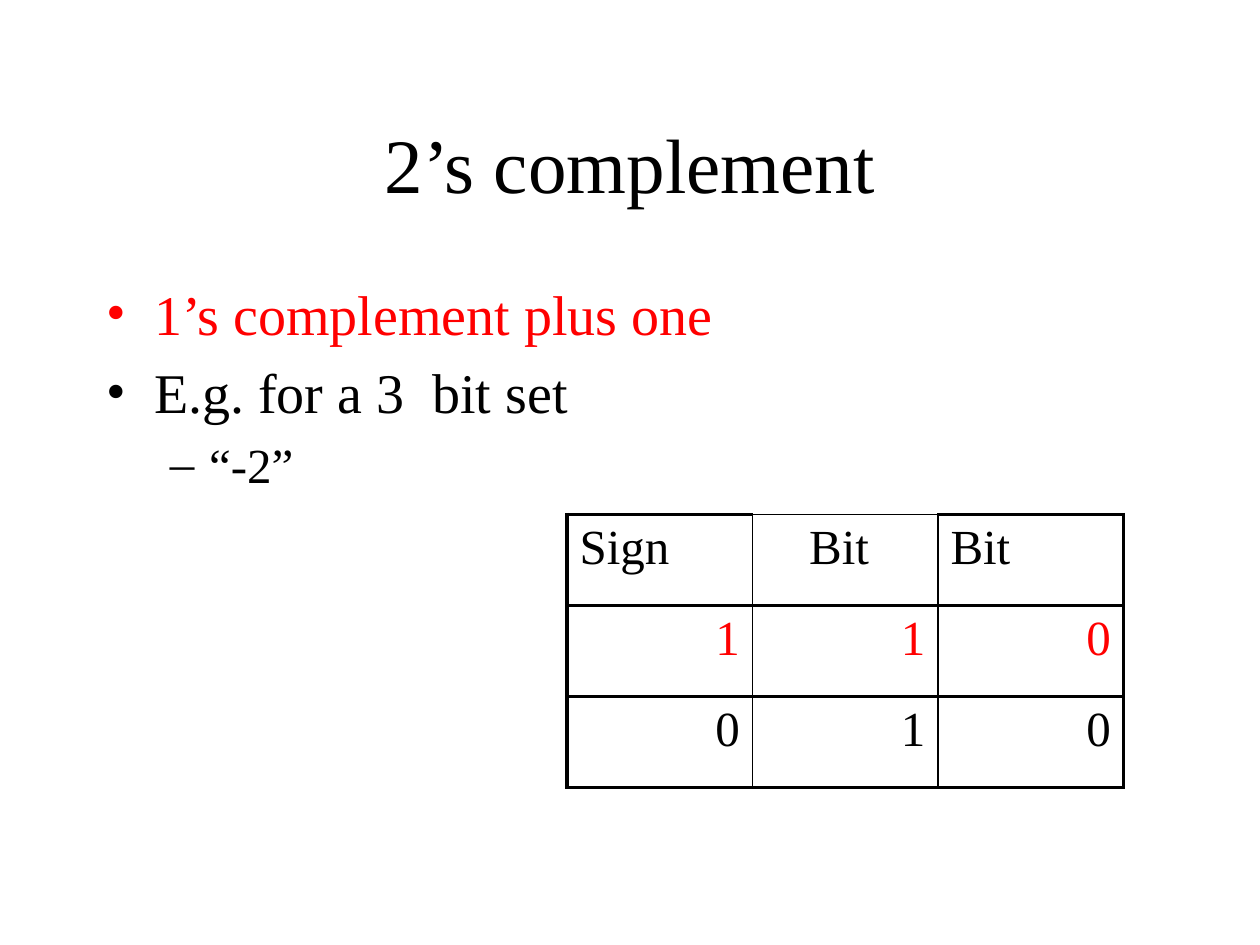
import pptx
import pptx.util
from pptx.dml.color import RGBColor
from pptx.enum.text import MSO_ANCHOR, PP_ALIGN
from pptx.oxml.ns import qn
from lxml import etree

BLACK = RGBColor(0, 0, 0)
RED = RGBColor(255, 0, 0)
FONT = "Times New Roman"
SCALE = 9525  # EMU in one px, 96 px to the inch
THIN, THICK = 1, 2.25


def px(num):
    return pptx.util.Emu(round(num * SCALE))


def add(node, tag, **attrs):
    return etree.SubElement(node, qn(tag), {k: str(v) for k, v in attrs.items()})


def write(para, text, size, color=BLACK, align=PP_ALIGN.LEFT):
    para.alignment = align
    run = para.add_run()
    run.text = text
    look = {"name": FONT, "size": pptx.util.Pt(size)}
    for key, value in look.items():
        setattr(run.font, key, value)
    run.font.color.rgb = color


def space(para):
    """Put a gap of a fifth of a line before the paragraph."""
    add(add(para._p.get_or_add_pPr(), "a:spcBef"), "a:spcPct", val=20000)


def frame(slide, box, anchor):
    text = slide.shapes.add_textbox(*map(px, box)).text_frame
    for key, value in {"word_wrap": True, "vertical_anchor": anchor}.items():
        setattr(text, key, value)
    return text


def title(slide, box):
    text = frame(slide, box, MSO_ANCHOR.MIDDLE)
    write(text.paragraphs[0], "2’s complement", 44, align=PP_ALIGN.CENTER)


def body(slide, box):
    text = frame(slide, box, MSO_ANCHOR.TOP)
    styles = [("•", 36, 36, 32), ("–", 78, 30, 28)]  # mark, left, hang, size
    items = [
        (0, "1’s complement plus one", RED),
        (0, "E.g. for a 3  bit set", BLACK),
        (1, "“-2”", BLACK),
    ]
    for i, (level, words, color) in enumerate(items):
        para = text.add_paragraph() if i else text.paragraphs[0]
        mark, left, hang, size = styles[level]
        para.level = level
        write(para, words, size, color)
        space(para)
        props = para._p.get_or_add_pPr()
        props.set("marL", str(px(left)))
        props.set("indent", str(px(-hang)))
        add(props, "a:buFont", typeface=FONT)
        add(props, "a:buChar", char=mark)


def border(cell, sides):
    props = cell._tc.get_or_add_tcPr()
    for i, (side, width) in enumerate(sides.items()):
        line = add(props, "a:ln" + side, w=pptx.util.Pt(width))
        add(add(line, "a:solidFill"), "a:srgbClr", val=BLACK)
        props.insert(i, line)


def bits(slide, box):
    """Draw the table of sign and value bits."""
    rows = [("Sign", "Bit ", "Bit"), "110", "010"]
    colors = [BLACK, RED, BLACK]
    table = slide.shapes.add_table(3, 3, *map(px, box)).table
    for key in ("first_row", "horz_banding"):
        setattr(table, key, False)
    for r, row in enumerate(rows):
        for c, text in enumerate(row):
            cell = table.cell(r, c)
            cell.fill.background()
            border(cell, {
                "L": THICK if c == 0 else THIN,
                "R": THICK if c == 2 else THIN,
                "T": THIN if (r, c) == (0, 1) else THICK,
                "B": THICK,
            })
            align = PP_ALIGN.RIGHT
            if r == 0:
                align = PP_ALIGN.CENTER if c == 1 else PP_ALIGN.LEFT
            para = cell.text_frame.paragraphs[0]
            write(para, text, 28, colors[r], align)
            space(para)


def main():
    deck = pptx.Presentation()
    deck.slide_width, deck.slide_height = px(960), px(720)
    slide = deck.slides.add_slide(deck.slide_layouts[6])
    title(slide, (72, 64, 816, 120))
    body(slide, (72, 208, 816, 432))
    bits(slide, (432, 392, 424, 208))
    deck.save("out.pptx")


if __name__ == "__main__":
    main()
